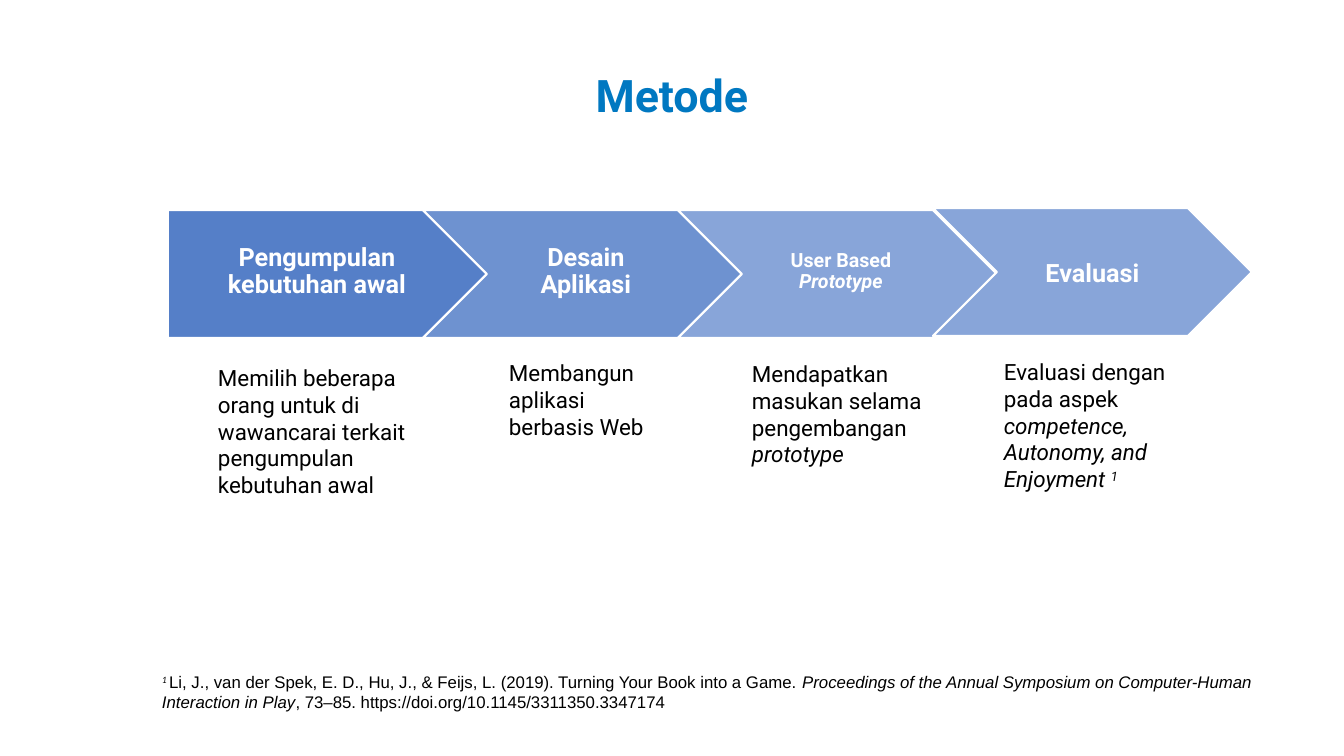
from dataclasses import dataclass
from lxml.etree import SubElement
from pptx import Presentation
from pptx.dml.color import RGBColor
from pptx.enum.shapes import MSO_SHAPE
from pptx.enum.text import MSO_ANCHOR, MSO_AUTO_SIZE, PP_ALIGN
from pptx.oxml.ns import qn
from pptx.util import Emu, Pt


@dataclass(frozen=True)
class Theme:
    title: RGBColor = RGBColor(0x00, 0x78, 0xC1)
    arrow: RGBColor = RGBColor(0x43, 0x72, 0xC3)
    light: RGBColor = RGBColor(0xFF, 0xFF, 0xFF)
    dark: RGBColor = RGBColor(0x00, 0x00, 0x00)
    face: str = "Roboto"
    plain: str = "Arial"
    mark: str = "Calibri"
    head: int = 32
    label: int = 18
    small: int = 14
    body: int = 16
    foot: int = 12


THEME = Theme()
SCALE = 914400 / 100.8

STEPS = [
    ([[("Pengumpulan kebutuhan awal", "")]], THEME.label, 90),
    ([[("Desain", "")], [("Aplikasi", "")]], THEME.label, 77),
    ([[("User Based", "")], [("Prototype", "i")]], THEME.small, 63),
    ([[("Evaluasi", "")]], THEME.label, 63),
]
NOTES = [
    ((208, 359, 216, 146),
     [("Memilih beberapa orang untuk di wawancarai terkait pengumpulan kebutuhan awal", "")]),
    ((499, 354, 167, 92), [("Membangun aplikasi berbasis Web", "")]),
    ((742, 355, 197, 119),
     [("Mendapatkan masukan selama pengembangan ", ""), ("prototype", "i")]),
    ((994, 353, 182, 173),
     [("Evaluasi dengan pada aspek ", ""),
      ("competence, Autonomy, and Enjoyment ", "i"), ("1", "is")]),
]
SOURCE = [
    ("1 ", "ism"),
    ("Li, J., van der Spek, E. D., Hu, J., & Feijs, L. (2019). Turning Your Book into a Game. ", ""),
    ("Proceedings of the Annual Symposium on Computer-Human Interaction in Play", "i"),
    (", 73–85. https://doi.org/10.1145/3311350.3347174", ""),
]


def px(count):
    return Emu(round(count * SCALE))


def scale(box):
    return [px(side) for side in box]


def write(frame, lines, size, color, face=THEME.face, bold=False,
          align=PP_ALIGN.LEFT, space=1.0, anchor=MSO_ANCHOR.TOP, pads=(10, 5, 10, 5)):
    frame.word_wrap = True
    frame.auto_size = MSO_AUTO_SIZE.NONE
    frame.vertical_anchor = anchor
    (frame.margin_left, frame.margin_top,
     frame.margin_right, frame.margin_bottom) = scale(pads)
    for index, runs in enumerate(lines):
        para = frame.add_paragraph() if index else frame.paragraphs[0]
        para.alignment = align
        para.line_spacing = space
        font = para.font
        font.name, font.size, font.bold = face, Pt(size), bold
        font.color.rgb = color
        for text, style in runs:
            run = para.add_run()
            run.text = text
            if "i" in style:
                run.font.italic = True
            if "m" in style:
                run.font.name = THEME.mark
            if "s" in style:
                run.font._element.set("baseline", "30000")


def add_title(slide, box):
    title = slide.shapes.title
    title.left, title.top, title.width, title.height = scale(box)
    write(title.text_frame, [[("Metode", "")]], THEME.head, THEME.title, bold=True,
          align=PP_ALIGN.CENTER, space=0.9, anchor=MSO_ANCHOR.BOTTOM)


def add_steps(slide, box):
    left, top, width, height = box
    pitch = 255
    wide = width - pitch * (len(STEPS) - 1)
    for index, (lines, size, alpha) in enumerate(STEPS):
        first, last = index == 0, index == len(STEPS) - 1
        kind = MSO_SHAPE.PENTAGON if first else MSO_SHAPE.CHEVRON
        lift = 2 if last else 0
        step = slide.shapes.add_shape(
            kind, *scale((left + index * pitch, top - lift, wide, height)))
        step.shadow.inherit = False
        step.fill.solid()
        step.fill.fore_color.rgb = THEME.arrow
        tint = step.fill._xPr.find(qn("a:solidFill"))[0]
        SubElement(tint, qn("a:alpha")).set("val", str(alpha * 1000))
        step.line.color.rgb = THEME.light
        step.line.width = Pt(1.5)
        pads = (10, 10, 10, 10) if last else (14 if first else 10, 7, 3, 11)
        write(step.text_frame, lines, size, THEME.light, bold=True,
              align=PP_ALIGN.CENTER, space=1.0 if last else 0.9,
              anchor=MSO_ANCHOR.MIDDLE, pads=pads)


def add_text(slide, box, runs, size, face):
    area = slide.shapes.add_textbox(*scale(box))
    write(area.text_frame, [runs], size, THEME.dark, face)


def main():
    deck = Presentation()
    deck.slide_width, deck.slide_height = scale((1344, 756))
    slide = deck.slides.add_slide(deck.slide_layouts[5])
    add_title(slide, (168, 64, 1008, 63))
    add_steps(slide, (168, 210, 1084, 128))
    for box, runs in NOTES:
        add_text(slide, box, runs, THEME.body, THEME.face)
    add_text(slide, (152, 667, 1122, 72), SOURCE, THEME.foot, THEME.plain)
    deck.save("out.pptx")


if __name__ == "__main__":
    main()
